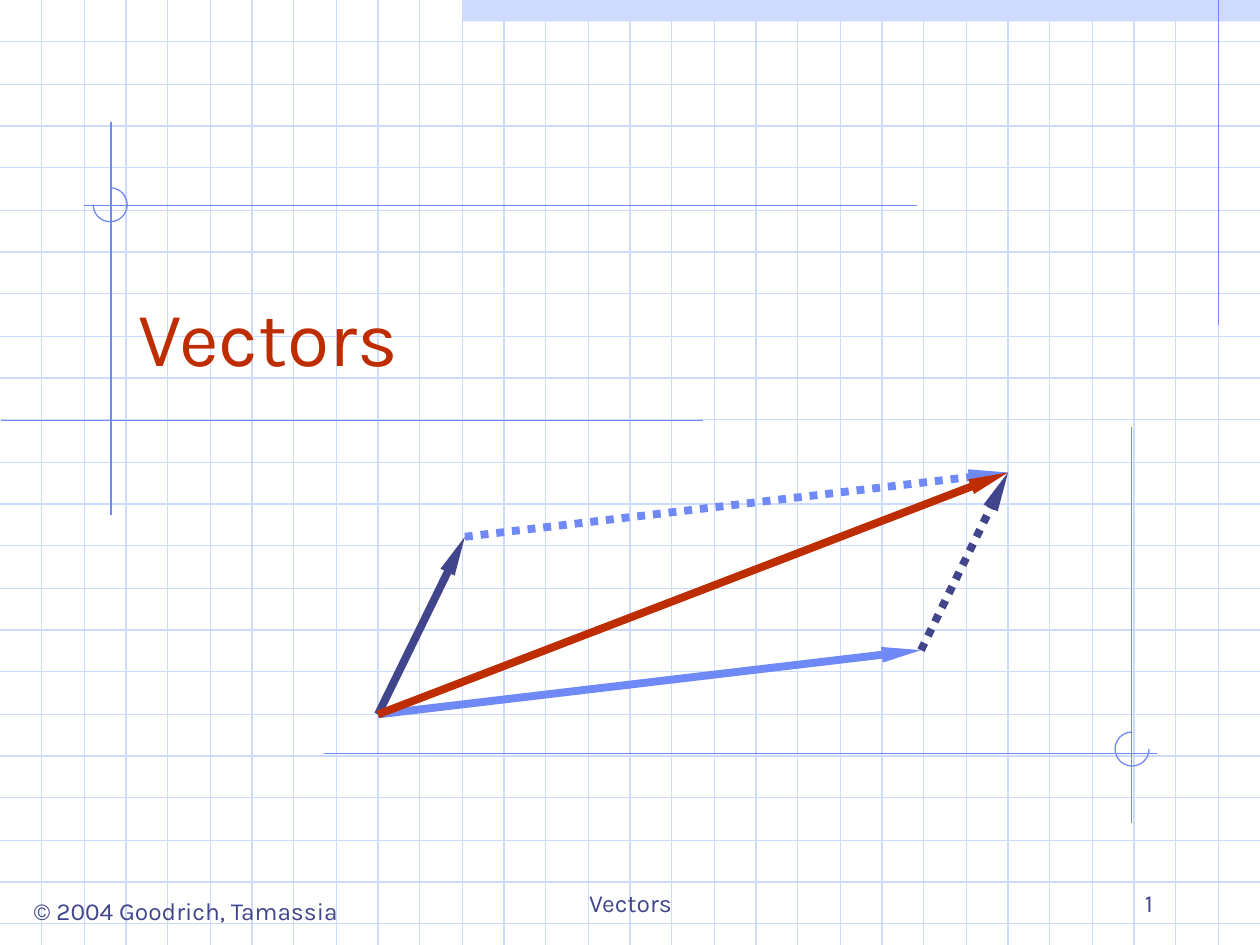
from dataclasses import dataclass

from pptx import Presentation
from pptx.dml.color import RGBColor
from pptx.enum import dml, shapes, text
from pptx.oxml import ns, xmlchemy
from pptx.util import Inches, Pt


@dataclass(frozen=True)
class Theme:
    """Colours, font and sizes of the slide."""
    grid: RGBColor = RGBColor.from_string("CFDBFD")
    blue: RGBColor = RGBColor.from_string("6F89F7")
    navy: RGBColor = RGBColor.from_string("40458C")
    red: RGBColor = RGBColor.from_string("BE2D00")
    font: str = "Karla"
    title_size: Pt = Pt(44)
    footer_size: Pt = Pt(14)
    hairline: Pt = Pt(0.75)
    vector: Pt = Pt(4.5)


THEME = Theme()
WIDTH, HEIGHT = 10, 7.5


def apply(target, formats):
    """Set every attribute named in a dict of format values."""
    for name, value in formats.items():
        setattr(target, name, value)


def add_line(slide, start, end, color, width=THEME.hairline, dash=None, arrow=False):
    """Draw a straight line, optionally dashed or with an arrowhead."""
    line = slide.shapes.add_connector(
        shapes.MSO_CONNECTOR.STRAIGHT, *map(Inches, (*start, *end)))
    line.line.color.rgb = color
    apply(line.line, {"width": width, "dash_style": dash})
    if arrow:
        head = xmlchemy.OxmlElement("a:tailEnd")
        for name, value in {"type": "triangle", "w": "sm", "len": "lg"}.items():
            head.set(name, value)
        line.line._ln.append(head)
    line._element.spPr.append(xmlchemy.OxmlElement("a:effectLst"))


def add_grid(slide, left, top, width, height):
    """Rule the box into thirds of an inch under a band at the top right."""
    band_left = left + 3.67
    band = slide.shapes.add_shape(
        shapes.MSO_SHAPE.RECTANGLE, Inches(band_left), Inches(top),
        Inches(left + width - band_left), Inches(0.17))
    band.shadow.inherit = False
    band.fill.solid()
    band.fill.fore_color.rgb = THEME.grid
    band.line.fill.background()
    for row in range(1, int(height * 3) + 1):
        y = round(top + row / 3, 2)
        add_line(slide, (left, y), (left + width, y), THEME.grid)
    for column in range(1, int(width * 3)):
        x = round(left + column / 3, 2)
        add_line(slide, (x, top), (x, top + height), THEME.grid)


def add_arc(slide, left, top, size, start, end):
    """Draw a three-quarter circle clockwise between two angles in degrees."""
    arc = slide.shapes.add_shape(
        shapes.MSO_SHAPE.ARC, *map(Inches, (left, top, size, size)))
    arc.shadow.inherit = False
    arc.fill.background()
    arc.line.color.rgb = THEME.blue
    arc.line.width = THEME.hairline
    for index, angle in enumerate((start, end)):
        arc.adjustments[index] = angle * 0.6


def add_title_frame(slide, left, top, width, height):
    """Draw the crossing lines and arc around the title."""
    axis, rule = left + 0.87, top + 0.66
    add_line(slide, (axis, top), (axis, top + height), THEME.blue)
    add_line(slide, (left, 3.34), (5.58, 3.34), THEME.blue)
    add_line(slide, (left + 0.66, rule), (left + width, rule), THEME.blue)
    add_arc(slide, axis - 0.14, rule - 0.14, 0.27, 270, 180)


def add_corner_frame(slide, left, top, width, height):
    """Draw the crossing lines and arc at the lower right."""
    axis, rule = left + width - 0.2, top + height - 0.55
    add_line(slide, (left, rule), (left + width, rule), THEME.blue)
    add_line(slide, (axis, top), (axis, top + height), THEME.blue)
    add_arc(slide, axis - 0.13, rule - 0.17, 0.27, 0, 270)


def write(holder, words, size, color, align, anchor, wrap=True):
    """Fill a text holder with one formatted paragraph."""
    frame = holder.text_frame
    frame.text = words
    apply(frame, {"word_wrap": wrap, "vertical_anchor": anchor,
                  "auto_size": text.MSO_AUTO_SIZE.NONE})
    paragraph = frame.paragraphs[0]
    paragraph.alignment = align
    apply(paragraph.font, {"name": THEME.font, "size": size})
    paragraph.font.color.rgb = color


def add_title(slide, left, top, width, height):
    """Place the title in front of the grid."""
    title = slide.shapes.title
    apply(title, dict(zip(("left", "top", "width", "height"),
                          map(Inches, (left, top, width, height)))))
    write(title, "Vectors", THEME.title_size, THEME.red,
          text.PP_ALIGN.LEFT, text.MSO_ANCHOR.BOTTOM)
    slide.shapes._spTree.append(title._element)


def add_vector_sum(slide, left, top, width, height):
    """Draw two vectors, their shifted twins and the diagonal sum."""
    origin, total = (left, top + height), (left + width, top)
    steep = (left + 0.69, top + 0.51)
    flat = (left + width - 0.69, top + height - 0.51)
    dotted = dml.MSO_LINE.ROUND_DOT
    for start, end, color, dash in (
        (origin, steep, THEME.navy, None),
        (origin, flat, THEME.blue, None),
        (flat, total, THEME.navy, dotted),
        (steep, total, THEME.blue, dotted),
        (origin, total, THEME.red, None),
    ):
        add_line(slide, start, end, color, THEME.vector, dash, arrow=True)


def add_footer(slide, left, top, width, height):
    """Place copyright, topic and page number along the bottom."""
    align, anchor = text.PP_ALIGN, text.MSO_ANCHOR
    right = left + width
    for words, box, side, hold, wrap in (
        ("© 2004 Goodrich, Tamassia", (left, top + 0.23, 2.71, 0.34),
         align.CENTER, anchor.TOP, False),
        ("Vectors", (left + 3.3, top, 3.17, height), align.CENTER, anchor.BOTTOM, True),
        ("1", (right - 2.08, top, 2.08, height), align.RIGHT, anchor.BOTTOM, True),
    ):
        label = slide.shapes.add_textbox(*map(Inches, box))
        write(label, words, THEME.footer_size, THEME.navy, side, hold, wrap)


def main():
    """Build and save the title slide."""
    deck = Presentation()
    apply(deck, {"slide_width": Inches(WIDTH), "slide_height": Inches(HEIGHT)})
    slide = deck.slides.add_slide(deck.slide_layouts.get_by_name("Title Only"))
    add_grid(slide, 0, 0, WIDTH, HEIGHT)
    add_line(slide, (9.67, 0), (9.67, 2.58), THEME.blue)
    add_title_frame(slide, 0.01, 0.97, 7.27, 3.12)
    add_corner_frame(slide, 2.57, 3.39, 6.61, 3.14)
    add_title(slide, 1, 1.83, 8.5, 1.25)
    add_vector_sum(slide, 3, 3.75, 5, 1.92)
    add_footer(slide, 0.12, 6.83, 9.13, 0.5)
    deck.save("out.pptx")


if __name__ == "__main__":
    main()
